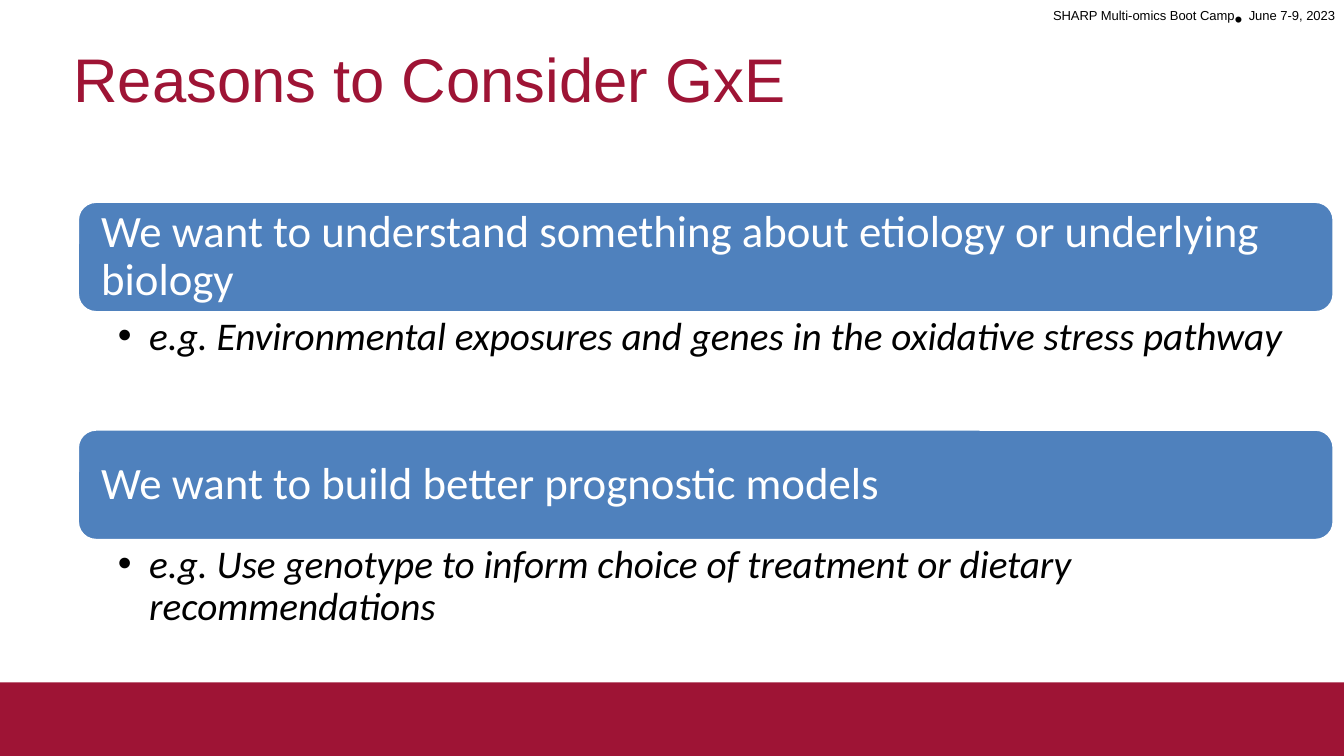
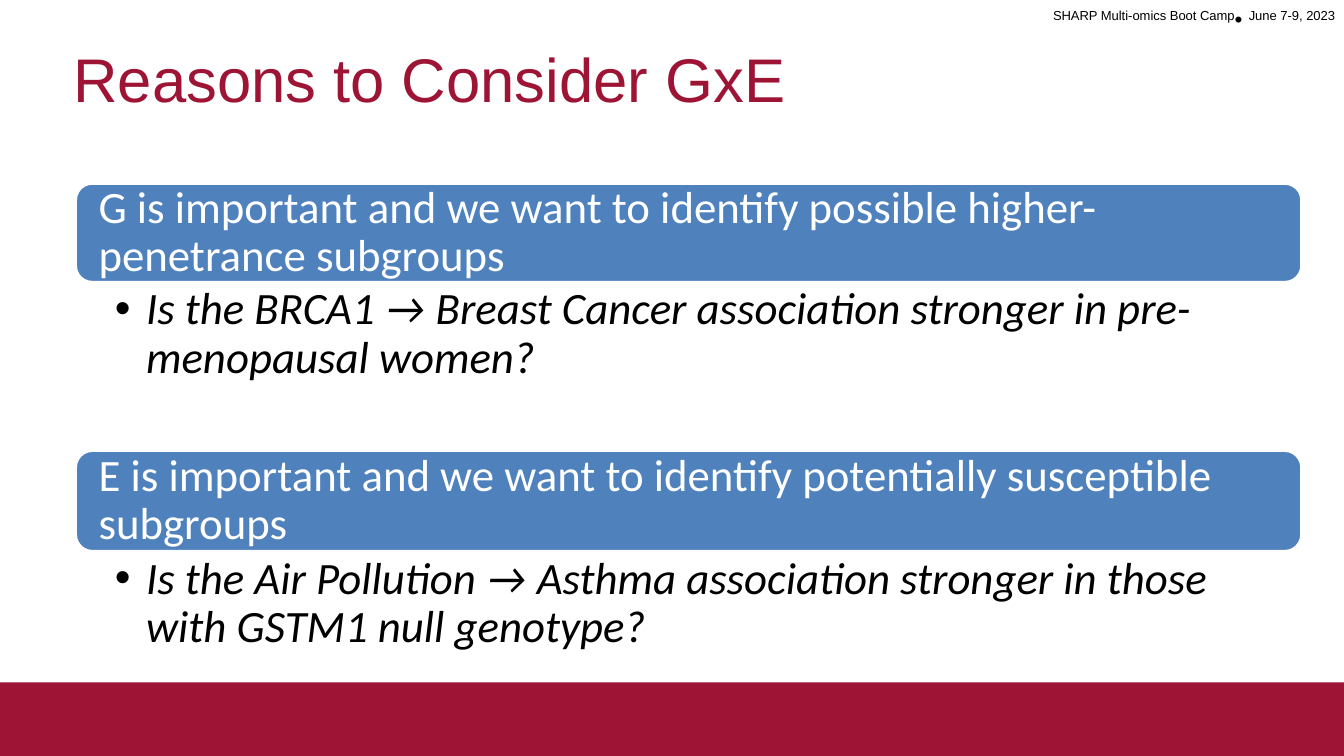
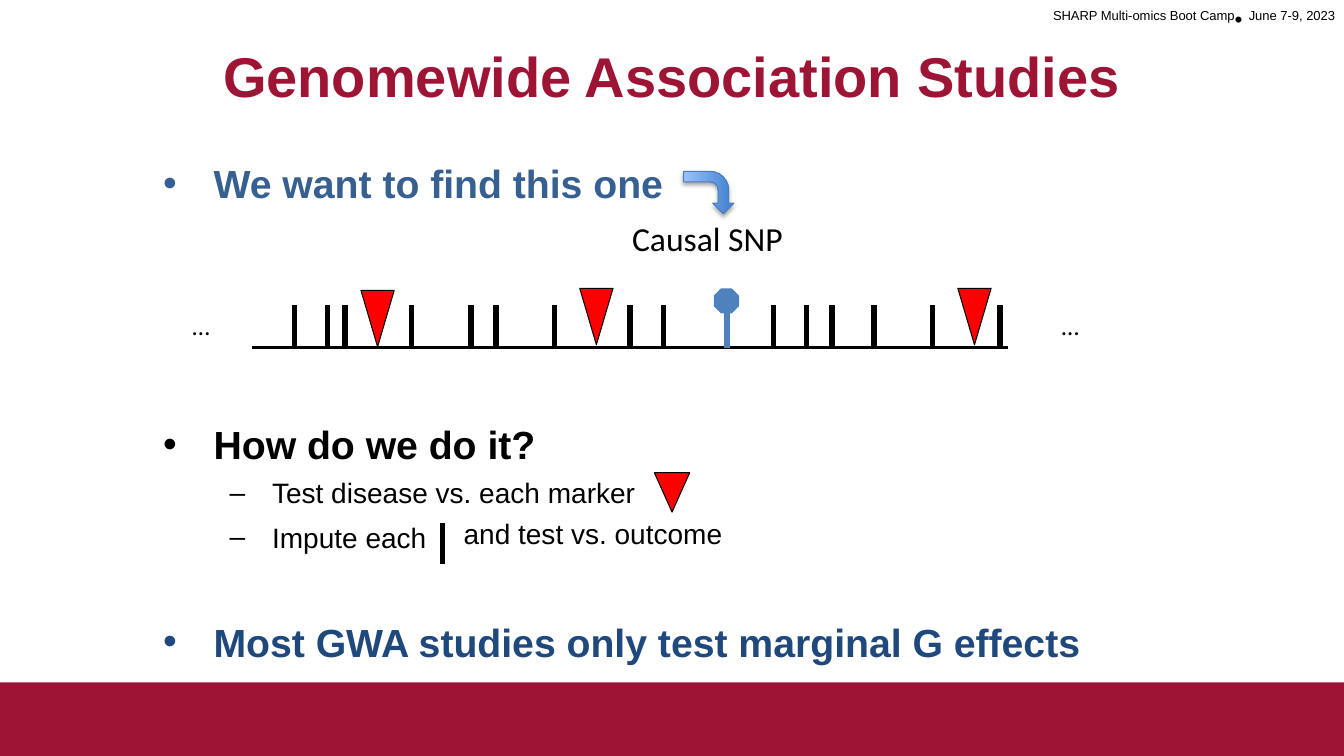
from lxml import etree
from pptx import Presentation
from pptx.dml.color import RGBColor
from pptx.enum import shapes, text
from pptx.oxml import parse_xml
from pptx.oxml.ns import nsdecls, qn
from pptx.util import Inches, Pt

CRIMSON = RGBColor(0x9E, 0x14, 0x35)
BLUE = RGBColor(0x4F, 0x81, 0xBD)
MID_BLUE = RGBColor(0x37, 0x60, 0x92)
NAVY = RGBColor(0x1F, 0x49, 0x7D)
EDGE_BLUE = RGBColor(0x4B, 0x7E, 0xBC)
DEEP_BLUE = RGBColor(0x3F, 0x80, 0xCD)
PALE_BLUE = RGBColor(0x9B, 0xC1, 0xFF)
RED = RGBColor(0xFF, 0x00, 0x00)
BLACK = RGBColor(0x00, 0x00, 0x00)
WHITE = RGBColor(0xFF, 0xFF, 0xFF)

KIND = shapes.MSO_SHAPE
ALIGN = text.PP_ALIGN
MIDDLE = text.MSO_ANCHOR.MIDDLE

HEADER = [("SHARP Multi-omics Boot Camp", 30), ("• ", 0), ("June 7-9, 2023", 30)]

REASONS = [
    {"title": "Reasons to Consider GxE", "left": 0.77, "width": 12.46, "size": 28,
     "insets": (0.4, 0.04, 0.22, 0.04),
     "cards": [
         (2, 1.1, "We want to understand something about etiology or underlying biology",
          "e.g. Environmental exposures and genes in the oxidative stress pathway"),
         (4.26, 1.1, "We want to build better prognostic models",
          "e.g. Use genotype to inform choice of treatment or dietary recommendations")]},
    {"title": "Reasons to Consider GxE", "left": 0.75, "width": 12.16, "size": 32,
     "insets": (0.39, 0.04, 0.25, 0.04),
     "cards": [
         (1.82, 0.98, "G is important and we want to identify possible higher-penetrance subgroups",
          "Is the BRCA1 → Breast Cancer association stronger in pre-menopausal women?"),
         (4.47, 1, "E is important and we want to identify potentially susceptible subgroups",
          "Is the Air Pollution → Asthma association stronger in those with GSTM1 null genotype?")]},
]

POINT = {"size": Pt(28), "bold": True}
STEP = {"size": Pt(20), "color": BLACK}
POINT_BULLET = ("•", 0.5, 0.5)
STEP_BULLET = ("–", 1.08, 0.42)
OUTLINE = [
    (1.53, 0.55, [("We want to find this one", {**POINT, "color": MID_BLUE}, POINT_BULLET, 0)]),
    (4.12, 1.4, [("How do we do it?", {**POINT, "color": BLACK}, POINT_BULLET, 0),
                 ("Test disease vs. each marker", STEP, STEP_BULLET, 6),
                 ("Impute each", STEP, STEP_BULLET, 8)]),
    (6.08, 0.55, [("Most GWA studies only test marginal G effects",
                   {**POINT, "color": NAVY}, POINT_BULLET, 0)]),
]

AXIS_Y, TICK_TOP = 3.45, 3.03
TICKS = [2.92, 3.25, 3.42, 4.08, 4.67, 4.92, 5.5, 6.25, 6.58,
         7.67, 8, 8.25, 8.67, 9.25, 9.92]
MARKERS = [(3.58, 2.88, 0.33, 0.56), (5.75, 2.86, 0.33, 0.56),
           (9.5, 2.86, 0.33, 0.56), (6.49, 4.69, 0.35, 0.39)]
ELLIPSES = [1.81, 10.43]


def style(font, fmt):
    for key, value in {"name": "Arial", **fmt}.items():
        if key == "color":
            font.color.rgb = value
        else:
            setattr(font, key, value)


def set_bullet(p, char, margin, hang):
    pPr = p._p.get_or_add_pPr()
    pPr.set("marL", str(Inches(margin)))
    pPr.set("indent", str(-Inches(hang)))
    etree.SubElement(pPr, qn("a:buFont")).set("typeface", "Arial")
    etree.SubElement(pPr, qn("a:buChar")).set("char", char)


def set_frame(sp, insets=(0.1, 0.05, 0.1, 0.05), **attrs):
    tf = sp.text_frame
    sides = ("margin_left", "margin_top", "margin_right", "margin_bottom")
    values = dict(zip(sides, map(Inches, insets)))
    for key, value in {"word_wrap": True, **values, **attrs}.items():
        setattr(tf, key, value)
    return tf


def write(p, words, fmt, bullet=None, **attrs):
    for key, value in attrs.items():
        setattr(p, key, value)
    if bullet:
        set_bullet(p, *bullet)
    r = p.add_run()
    r.text = words
    style(r.font, fmt)
    return r


def add_box(s, at, insets=(0.1, 0.05, 0.1, 0.05), **attrs):
    return set_frame(s.shapes.add_textbox(*map(Inches, at)), insets, **attrs)


def add_label(s, at, words, fmt, wrap=True, **attrs):
    write(add_box(s, at, word_wrap=wrap).paragraphs[0], words, fmt, **attrs)


def add_solid(s, kind, at, fill, line=None, weight=0.75):
    sp = s.shapes.add_shape(kind, *map(Inches, at))
    sp.shadow.inherit = False
    sp.fill.solid()
    sp.fill.fore_color.rgb = fill
    if line is None:
        sp.line.fill.background()
    else:
        sp.line.color.rgb = line
        sp.line.width = Pt(weight)
    return sp


def add_line(s, x1, y1, x2, y2, color=BLACK, weight=4):
    line = s.shapes.add_connector(shapes.MSO_CONNECTOR.STRAIGHT,
                                  *map(Inches, (x1, y1, x2, y2)))
    line.line.color.rgb = color
    line.line.width = Pt(weight)
    etree.SubElement(line._element.spPr, qn("a:effectLst"))


def new_slide(prs, title, size=44, bold=False, align=ALIGN.LEFT):
    s = prs.slides.add_slide(prs.slide_layouts[6])
    add_solid(s, KIND.RECTANGLE, (0, 6.77, 13.33, 0.73), CRIMSON)
    p = add_box(s, (8.06, 0, 5.28, 0.37)).paragraphs[0]
    for words, raised in HEADER:
        r = write(p, words, {"size": Pt(16), "color": BLACK}, alignment=ALIGN.RIGHT)
        r._r.get_or_add_rPr().set("baseline", str(raised * 1000))
    add_label(s, (0.63, 0.36, 12.06, 0.84), title,
              {"size": Pt(size), "bold": bold, "color": CRIMSON}, alignment=align)
    return s


def add_reasons(prs, content):
    s = new_slide(prs, content["title"])
    left, width = content["left"], content["width"]
    for top, height, reason, example in content["cards"]:
        card = add_solid(s, KIND.ROUNDED_RECTANGLE, (left, top, width, height), BLUE, WHITE, 2)
        tf = set_frame(card, (0.18, 0, 0.18, 0), vertical_anchor=MIDDLE)
        write(tf.paragraphs[0], reason, {"name": "Calibri", "size": Pt(32), "color": WHITE},
              alignment=ALIGN.LEFT, line_spacing=0.9)
        tf = add_box(s, (left, top + height, width, 1.16), content["insets"])
        write(tf.paragraphs[0], example,
              {"name": "Calibri", "size": Pt(content["size"]), "italic": True, "color": BLACK},
              ("•", 0.31, 0.31), line_spacing=0.9)


def add_bent_arrow(s):
    arrow = add_solid(s, KIND.BENT_ARROW, (6.82, 1.66, 0.42, 0.5), BLUE, EDGE_BLUE)
    arrow.rotation = 90
    arrow.fill.gradient()
    arrow.fill.gradient_angle = 270
    for stop, color in zip(arrow.fill.gradient_stops, (DEEP_BLUE, PALE_BLUE)):
        stop.color.rgb = color
    effects = arrow._element.spPr.find(qn("a:effectLst"))
    effects.append(parse_xml(
        f'<a:outerShdw {nsdecls("a")} blurRad="{Pt(3.1)}" dist="{Pt(1.8)}" dir="5400000" '
        'rotWithShape="0"><a:srgbClr val="000000"><a:alpha val="35000"/></a:srgbClr>'
        '</a:outerShdw>'))


def add_genome_study(prs):
    s = new_slide(prs, "Genomewide Association Studies", 40, True, ALIGN.CENTER)
    for top, height, points in OUTLINE:
        tf = add_box(s, (1.52, top, 10.79, height))
        for i, (words, fmt, bullet, gap) in enumerate(points):
            p = tf.add_paragraph() if i else tf.paragraphs[0]
            write(p, words, fmt, bullet, space_before=Pt(gap))
    add_label(s, (4.5, 5.07, 3.5, 0.42), "and test vs. outcome", STEP)

    add_line(s, 2.5, AXIS_Y, 10, AXIS_Y, weight=2)
    for x in TICKS:
        add_line(s, x, TICK_TOP, x, AXIS_Y)
    add_line(s, 4.39, 5.19, 4.39, 5.6)
    for at in MARKERS:
        add_solid(s, KIND.ISOSCELES_TRIANGLE, at, RED, BLACK).rotation = 180
    for x in ELLIPSES:
        add_label(s, (x, 3.03, 1.25, 0.4), "…",
                  {"name": "Calibri", "size": Pt(18), "color": BLACK})

    add_line(s, 7.21, TICK_TOP, 7.21, AXIS_Y, BLUE)
    add_solid(s, KIND.OCTAGON, (7.08, 2.86, 0.25, 0.25), BLUE)
    add_label(s, (6.17, 2.11, 1.71, 0.5), "Causal SNP",
              {"name": "Calibri", "size": Pt(24), "color": BLACK}, wrap=False)
    add_bent_arrow(s)


def main():
    prs = Presentation()
    prs.slide_width, prs.slide_height = Inches(13.33), Inches(7.5)
    for content in REASONS:
        add_reasons(prs, content)
    add_genome_study(prs)
    prs.save("out.pptx")


if __name__ == "__main__":
    main()
